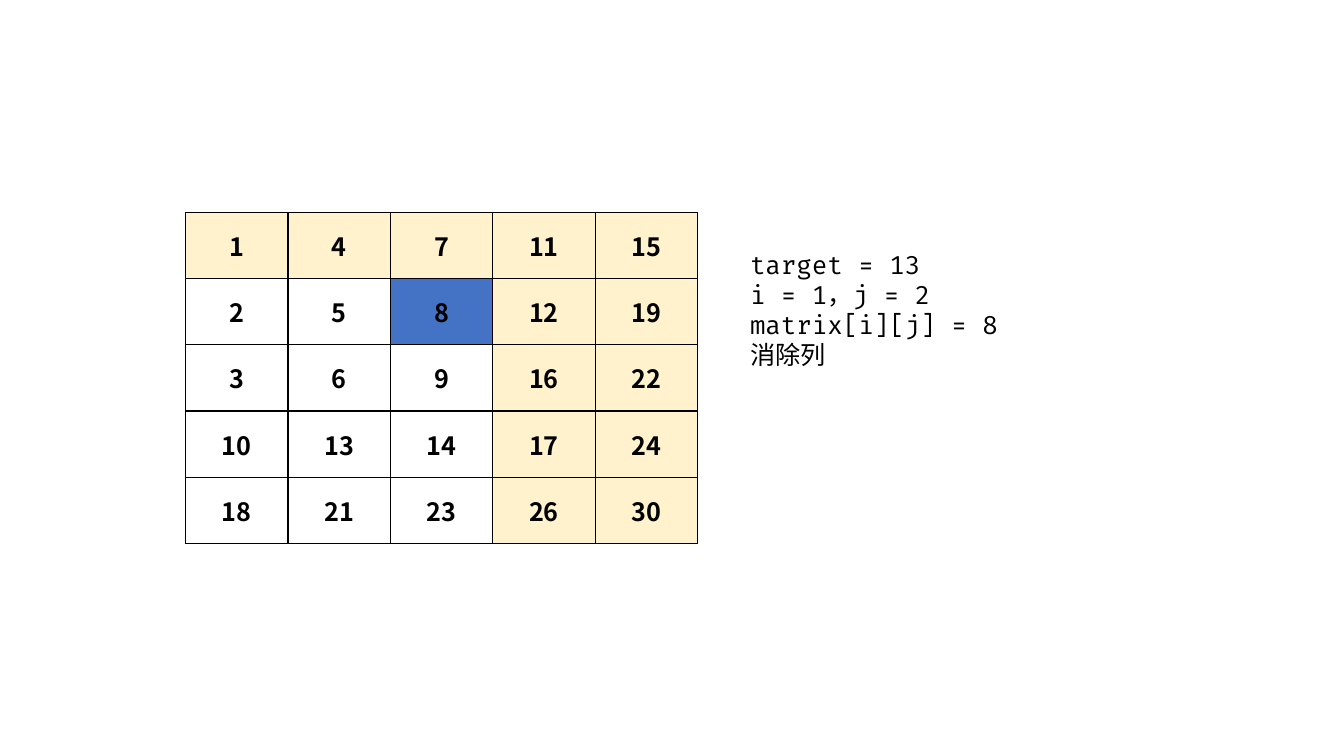
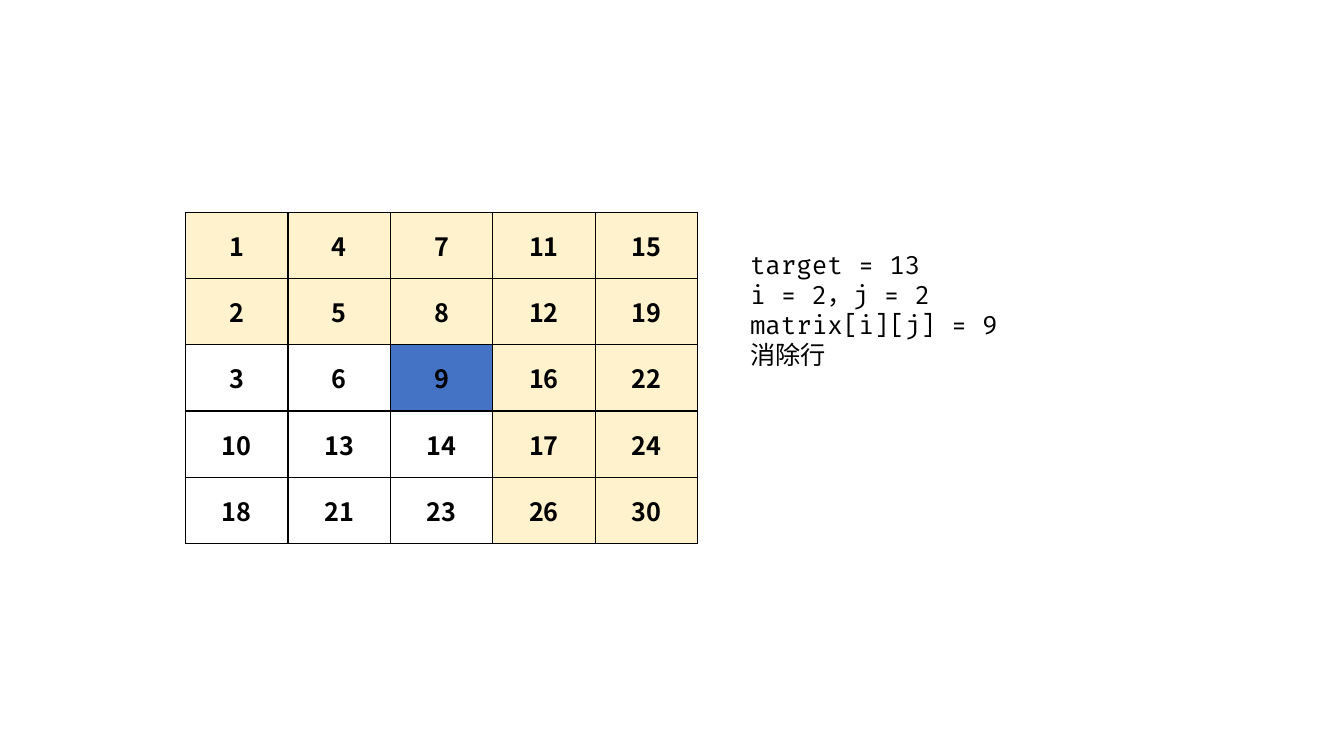
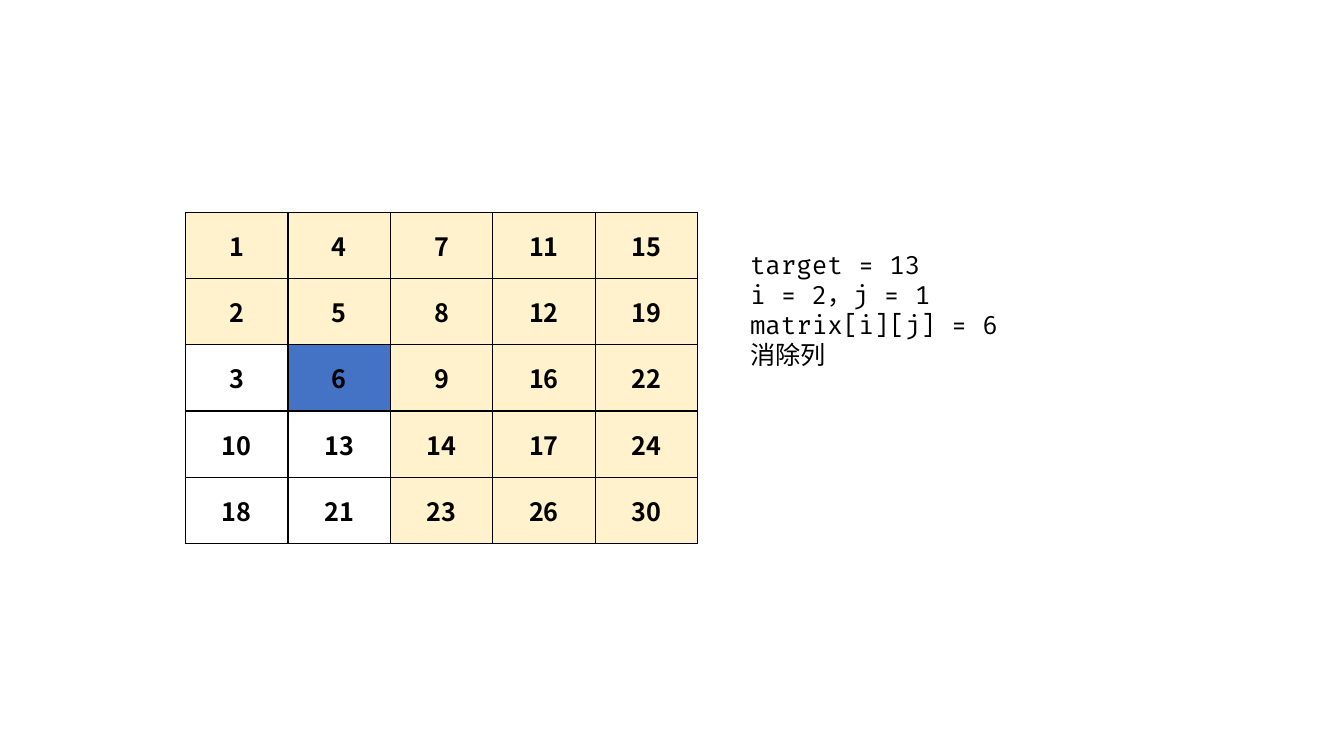
import dataclasses

import lxml.etree
import pptx
import pptx.dml.color
import pptx.enum.text
import pptx.oxml.ns
import pptx.util

Inches = pptx.util.Inches
Pt = pptx.util.Pt
RGBColor = pptx.dml.color.RGBColor
qn = pptx.oxml.ns.qn


@dataclasses.dataclass(frozen=True)
class Theme:
    ink: str = "000000"
    remaining: str = "FFFFFF"
    eliminated: str = "FFF2CC"
    current: str = "4472C4"
    number_font: str = "Noto Sans CJK SC"
    code_font: str = "Fira Code"
    text_size: int = 18
    border_width: int = 1


MATRIX = [
    [1, 4, 7, 11, 15],
    [2, 5, 8, 12, 19],
    [3, 6, 9, 16, 22],
    [10, 13, 14, 17, 24],
    [18, 21, 23, 26, 30],
]
TARGET = 13
STEPS = [(1, 2, "消除列"), (2, 2, "消除行"), (2, 1, "消除列")]


class SearchDeck:
    def __init__(self, theme):
        self.theme = theme
        self.deck = pptx.Presentation()
        self.deck.slide_width = Inches(13.33)
        self.deck.slide_height = Inches(7.5)
        self.page = None

    def add_page(self):
        self.page = self.deck.slides.add_slide(self.deck.slide_layouts[6])

    def add_span(self, para, text, font, bold=False):
        span = para.add_run()
        span.text = text
        span.font.size = Pt(self.theme.text_size)
        span.font.bold = bold
        span.font.color.rgb = RGBColor.from_string(self.theme.ink)
        span.font.name = font
        east_asian = lxml.etree.SubElement(span._r.get_or_add_rPr(), qn("a:ea"))
        east_asian.set("typeface", self.theme.number_font)

    def add_borders(self, cell):
        properties = cell._tc.get_or_add_tcPr()
        for side in ("lnL", "lnR", "lnT", "lnB"):
            line = lxml.etree.SubElement(properties, qn(f"a:{side}"))
            line.set("w", str(Pt(self.theme.border_width)))
            fill = lxml.etree.SubElement(line, qn("a:solidFill"))
            lxml.etree.SubElement(fill, qn("a:srgbClr")).set("val", self.theme.ink)

    def cell_color(self, row, column, i, j):
        """Rows above i and columns right of j are already eliminated."""
        if (row, column) == (i, j):
            return self.theme.current
        if row < i or column > j:
            return self.theme.eliminated
        return self.theme.remaining

    def add_matrix(self, i, j):
        table = self.page.shapes.add_table(
            len(MATRIX), len(MATRIX[0]),
            Inches(1.84), Inches(2.11), Inches(5.08), Inches(3.28),
        ).table
        for row, values in enumerate(MATRIX):
            for column, value in enumerate(values):
                cell = table.cell(row, column)
                self.add_borders(cell)
                cell.fill.solid()
                cell.fill.fore_color.rgb = RGBColor.from_string(
                    self.cell_color(row, column, i, j))
                cell.vertical_anchor = pptx.enum.text.MSO_ANCHOR.MIDDLE
                para = cell.text_frame.paragraphs[0]
                para.alignment = pptx.enum.text.PP_ALIGN.CENTER
                self.add_span(para, str(value), self.theme.number_font, bold=True)

    def add_state(self, lines):
        box = self.page.shapes.add_textbox(
            Inches(7.34), Inches(2.42), Inches(4.15), Inches(1.31))
        frame = box.text_frame
        frame.word_wrap = True
        frame.auto_size = pptx.enum.text.MSO_AUTO_SIZE.SHAPE_TO_FIT_TEXT
        for index, line in enumerate(lines):
            para = frame.add_paragraph() if index else frame.paragraphs[0]
            self.add_span(para, line, self.theme.code_font)


def main():
    search = SearchDeck(Theme())
    for i, j, action in STEPS:
        search.add_page()
        search.add_matrix(i, j)
        search.add_state([
            f"target = {TARGET}",
            f"i = {i}，j = {j}",
            f"matrix[i][j] = {MATRIX[i][j]}",
            action,
        ])
    search.deck.save("out.pptx")


if __name__ == "__main__":
    main()
